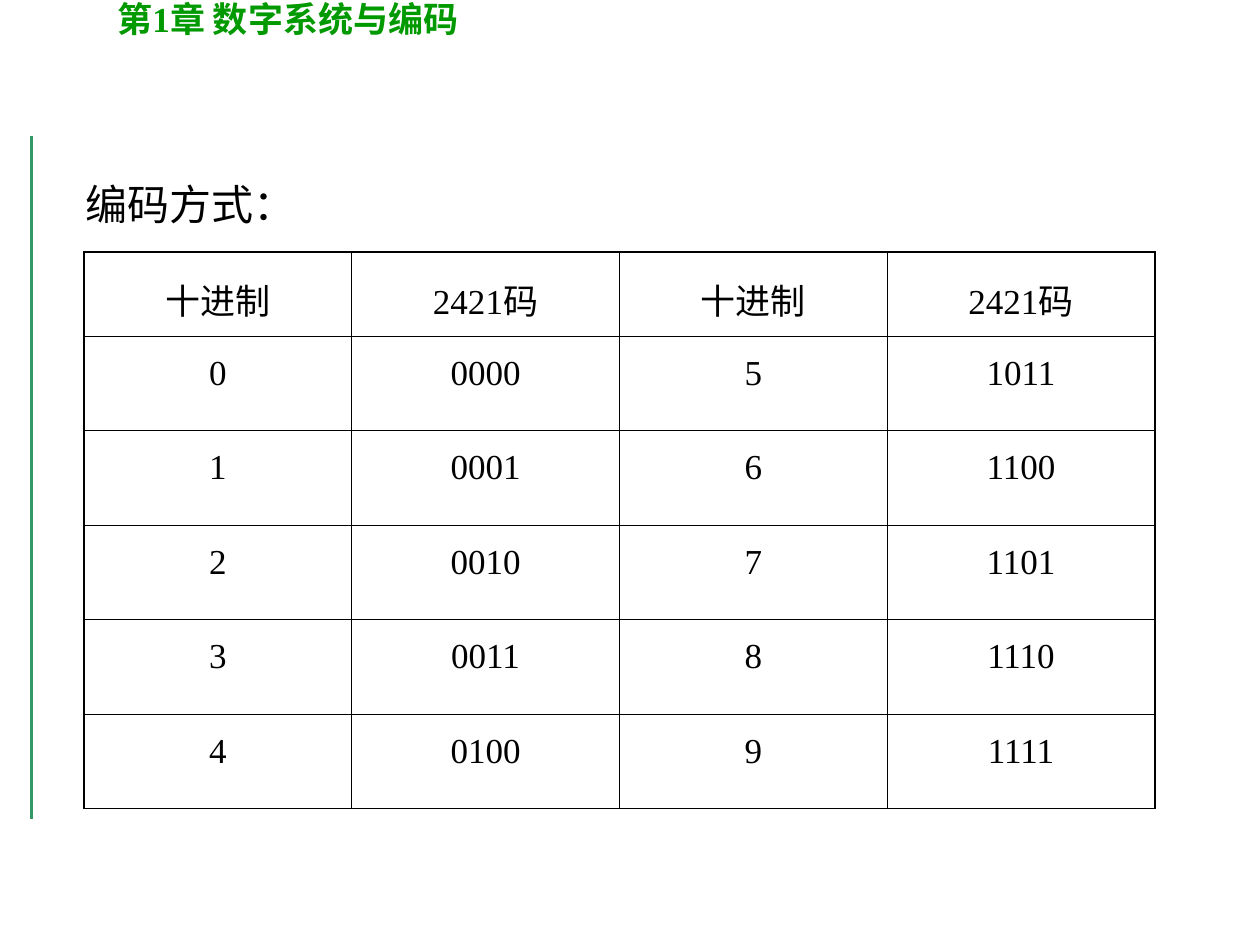
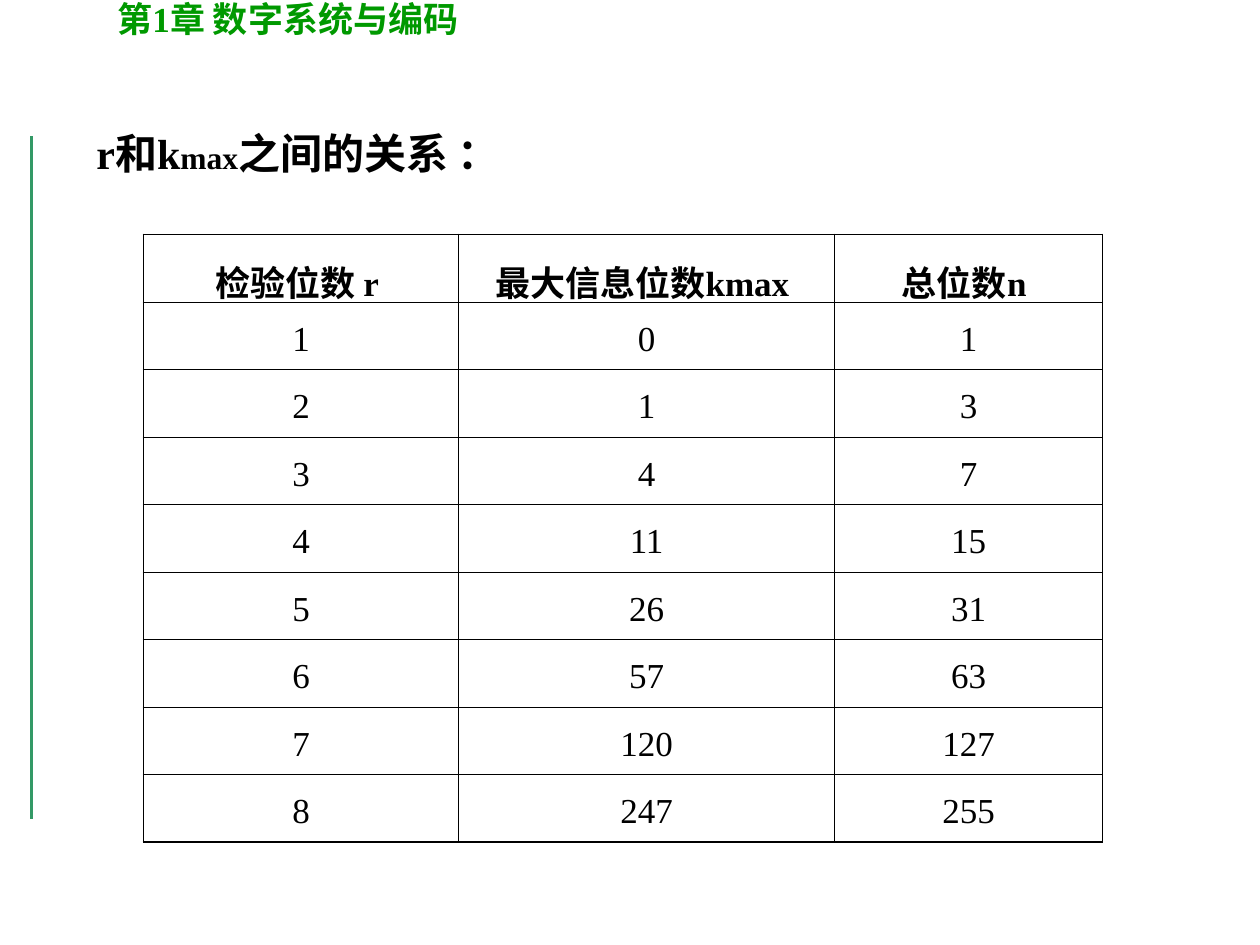
from lxml import etree
from pptx import Presentation
from pptx.dml.color import RGBColor
from pptx.enum.shapes import MSO_CONNECTOR
from pptx.enum.text import PP_ALIGN
from pptx.oxml.ns import qn
from pptx.util import Pt

STRAIGHT = MSO_CONNECTOR.STRAIGHT
CENTER = PP_ALIGN.CENTER

BLACK = RGBColor(0x00, 0x00, 0x00)
TITLE_GREEN = RGBColor(0x00, 0x99, 0x00)
LINE_GREEN = RGBColor(0x33, 0x99, 0x66)
FONT = "Times New Roman"
LINE_SPACING = 1.3
OUTER_BORDER, INNER_BORDER = 1.08, 0.45

CHAPTER = "第1章 数字系统与编码"

# Boxes are (left, top, width, height); heading runs are (text, size).
SLIDES = [
    {
        "heading": [("编码方式：", 24)],
        "heading_bold": False,
        "heading_box": (42, 90, 612, 390),
        "table_origin": (48, 144),
        "column_widths": [153] * 4,
        "row_heights": [48] + [54] * 5,
        "header_bold": False,
        "rows": [
            ("十进制", "2421码", "十进制", "2421码"),
            ("0", "0000", "5", "1011"),
            ("1", "0001", "6", "1100"),
            ("2", "0010", "7", "1101"),
            ("3", "0011", "8", "1110"),
            ("4", "0100", "9", "1111"),
        ],
    },
    {
        "heading": [("r和k", 24), ("max", 18), ("之间的关系 ：", 24)],
        "heading_bold": True,
        "heading_box": (48, 60.5, 658, 448),
        "table_origin": (82, 134),
        "column_widths": [180, 215, 153],
        "row_heights": [38.6] * 9,
        "header_bold": True,
        "rows": [
            ("检验位数 r ", "最大信息位数kmax ", "总位数n "),
            ("1", "0", "1"),
            ("2", "1", "3"),
            ("3", "4", "7"),
            ("4", "11", "15"),
            ("5", "26", "31"),
            ("6", "57", "63"),
            ("7", "120", "127"),
            ("8", "247", "255"),
        ],
    },
]


def add_run(paragraph, text, size, bold=False, color=BLACK):
    run = paragraph.add_run()
    run.text = text
    run.font.name = FONT
    run.font.size = Pt(size)
    run.font.bold = bold
    run.font.color.rgb = color


def add_text_box(slide, box, runs, bold, color, space_before, line_spacing=None):
    frame = slide.shapes.add_textbox(*map(Pt, box)).text_frame
    frame.word_wrap = True
    paragraph = frame.paragraphs[0]
    paragraph.space_before = Pt(space_before)
    paragraph.line_spacing = line_spacing
    for text, size in runs:
        add_run(paragraph, text, size, bold, color)


def add_chapter_frame(slide):
    """Add the side line and chapter title that every slide carries."""
    line = slide.shapes.add_connector(STRAIGHT, Pt(18), Pt(78), Pt(18), Pt(468))
    line.line.color.rgb = LINE_GREEN
    line.line.width = Pt(2.25)
    etree.SubElement(line._element.spPr, qn("a:effectLst"))
    add_text_box(slide, (60, -5, 414, 31.5), [(CHAPTER, 20)], True, TITLE_GREEN, 12.5)


def set_borders(cell, outer_sides):
    """Draw all four sides, the ones on the table's edge thicker."""
    properties = cell._tc.get_or_add_tcPr()
    for side, is_outer in outer_sides.items():
        width = Pt(OUTER_BORDER if is_outer else INNER_BORDER)
        border = etree.SubElement(properties, qn(f"a:ln{side}"), w=str(width))
        fill = etree.SubElement(border, qn("a:solidFill"))
        etree.SubElement(fill, qn("a:srgbClr"), val=str(BLACK))


def add_code_table(slide, content):
    rows = content["rows"]
    widths, heights = content["column_widths"], content["row_heights"]
    box = (*content["table_origin"], sum(widths), sum(heights))
    table = slide.shapes.add_table(len(rows), len(widths), *map(Pt, box)).table
    table.first_row = table.horz_banding = False
    for column, width in zip(table.columns, widths):
        column.width = Pt(width)
    for row, height in zip(table.rows, heights):
        row.height = Pt(height)

    for row_index, values in enumerate(rows):
        for column_index, value in enumerate(values):
            cell = table.cell(row_index, column_index)
            set_borders(cell, {
                "L": column_index == 0,
                "R": column_index == len(widths) - 1,
                "T": row_index == 0,
                "B": row_index == len(rows) - 1,
            })
            cell.fill.background()
            paragraph = cell.text_frame.paragraphs[0]
            paragraph.alignment = CENTER
            paragraph.line_spacing = LINE_SPACING
            paragraph.space_before = Pt(5)
            add_run(paragraph, value, 20, content["header_bold"] and row_index == 0)


def main():
    presentation = Presentation()
    presentation.slide_width, presentation.slide_height = Pt(720), Pt(540)
    blank_layout = presentation.slide_layouts[6]
    for content in SLIDES:
        slide = presentation.slides.add_slide(blank_layout)
        add_chapter_frame(slide)
        add_text_box(slide, content["heading_box"], content["heading"],
                     content["heading_bold"], BLACK, 6, LINE_SPACING)
        add_code_table(slide, content)
    presentation.save("out.pptx")


if __name__ == "__main__":
    main()
